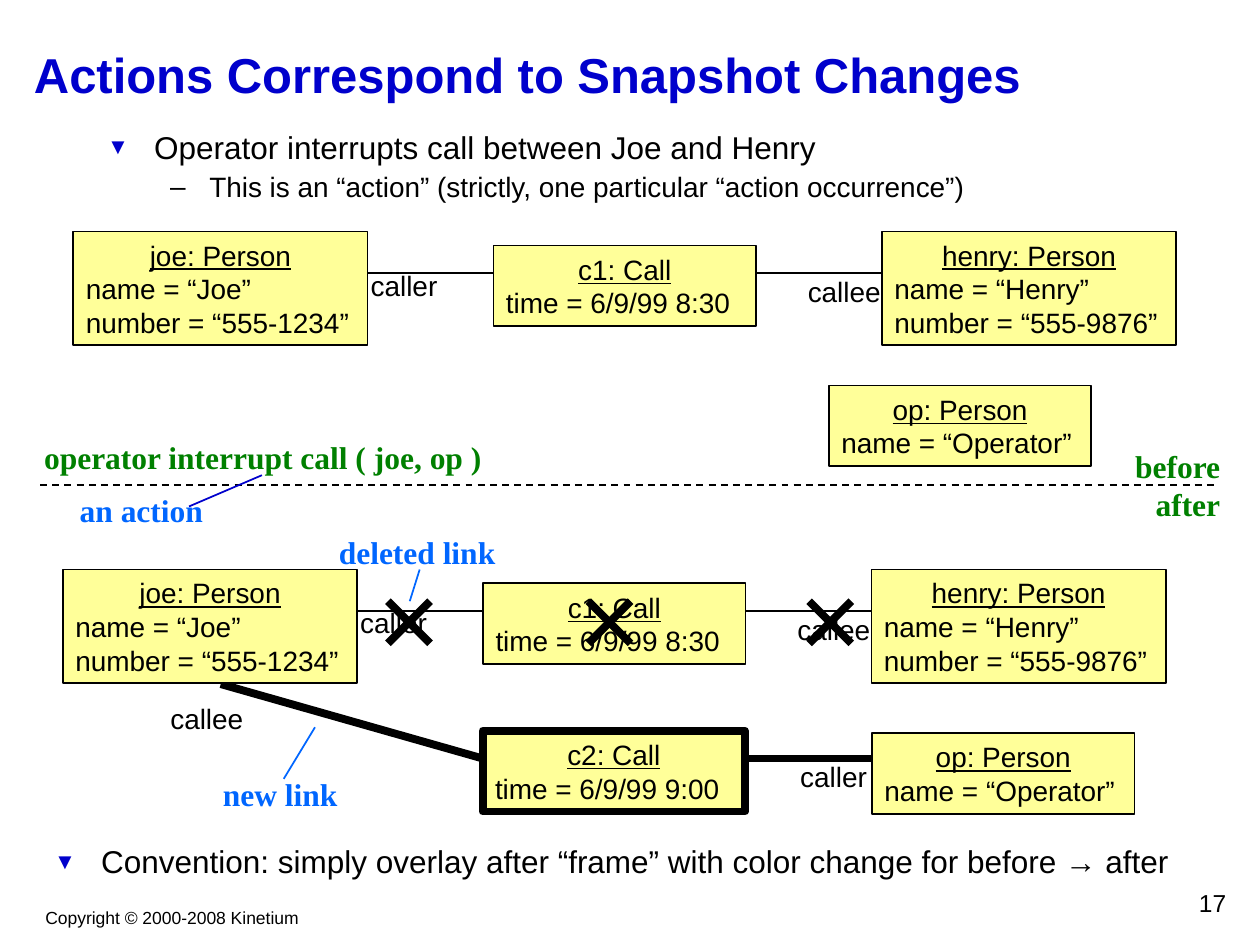
"""Build the slide that shows an action as a change between two snapshots."""
from dataclasses import dataclass

from lxml import etree
from pptx import Presentation
from pptx.dml.color import RGBColor
from pptx.enum.dml import MSO_LINE
from pptx.enum.shapes import MSO_CONNECTOR, MSO_SHAPE
from pptx.enum.text import MSO_ANCHOR, MSO_AUTO_SIZE, PP_ALIGN
from pptx.oxml.ns import qn
from pptx.slide import Slide
from pptx.text.text import TextFrame, _Paragraph
from pptx.util import Cm, Pt

LEFT, CENTER, RIGHT = PP_ALIGN.LEFT, PP_ALIGN.CENTER, PP_ALIGN.RIGHT
TOP, MIDDLE = MSO_ANCHOR.TOP, MSO_ANCHOR.MIDDLE
RECTANGLE, STRAIGHT, DASH = MSO_SHAPE.RECTANGLE, MSO_CONNECTOR.STRAIGHT, MSO_LINE.DASH
NO_AUTOFIT = MSO_AUTO_SIZE.NONE

BLACK, NAVY, BLUE, GREEN, YELLOW = "000000", "0000CC", "0066FF", "008000", "FFFF99"
SANS, SERIF = "Arial", "Times New Roman"
THIN, THICK = 1, 4.5
PERSON_WIDTH, CALL_WIDTH = 5.93, 5.29
PERSON_HEIGHT, CALL_HEIGHT = 2.29, 1.63
CROSS_SIZE = 0.85


@dataclass(frozen=True)
class Style:
    size: float
    font: str = SANS
    color: str = BLACK
    bold: bool = False


TITLE = Style(28, color=NAVY, bold=True)
MAIN, DETAIL = Style(18), Style(16)
FOOTER, NUMBER = Style(10), Style(14)
ACTION, REMARK = Style(18, SERIF, GREEN, True), Style(18, SERIF, BLUE, True)


@dataclass(frozen=True)
class Label:
    left: float
    top: float
    width: float
    height: float
    lines: tuple[str, ...]
    style: Style = DETAIL
    align: PP_ALIGN = CENTER
    anchor: MSO_ANCHOR = TOP


@dataclass(frozen=True)
class ObjectBox:
    left: float
    top: float
    width: float
    height: float
    name: str
    attributes: tuple[str, ...]
    weight: float = THIN


@dataclass(frozen=True)
class Link:
    start: tuple[float, float]
    end: tuple[float, float]
    color: str = BLACK
    weight: float = THIN
    dashed: bool = False


@dataclass(frozen=True)
class Bullet:
    text: str
    level: int = 0


def rgb(color: str) -> RGBColor:
    return RGBColor.from_string(color)


def add_text(paragraph: _Paragraph, text: str, style: Style, underline: bool = False) -> None:
    run = paragraph.add_run()
    run.text = text
    run.font.name = style.font
    run.font.size = Pt(style.size)
    run.font.bold = style.bold
    run.font.underline = underline
    run.font.color.rgb = rgb(style.color)


def next_paragraph(frame: TextFrame, index: int) -> _Paragraph:
    return frame.add_paragraph() if index else frame.paragraphs[0]


def draw_label(slide: Slide, label: Label) -> None:
    box = slide.shapes.add_textbox(
        Cm(label.left), Cm(label.top), Cm(label.width), Cm(label.height))
    box.text_frame.vertical_anchor = label.anchor
    for index, line in enumerate(label.lines):
        paragraph = next_paragraph(box.text_frame, index)
        paragraph.alignment = label.align
        add_text(paragraph, line, label.style)


def draw_object(slide: Slide, item: ObjectBox) -> None:
    shape = slide.shapes.add_shape(
        RECTANGLE, Cm(item.left), Cm(item.top), Cm(item.width), Cm(item.height))
    shape.shadow.inherit = False
    shape.fill.solid()
    shape.fill.fore_color.rgb = rgb(YELLOW)
    shape.line.color.rgb = rgb(BLACK)
    shape.line.width = Pt(item.weight)
    frame = shape.text_frame
    frame.word_wrap = True
    frame.vertical_anchor = MIDDLE
    for index, line in enumerate((item.name, *item.attributes)):
        paragraph = next_paragraph(frame, index)
        paragraph.alignment = LEFT if index else CENTER
        add_text(paragraph, line, DETAIL, underline=index == 0)


def draw_link(slide: Slide, link: Link) -> None:
    connector = slide.shapes.add_connector(STRAIGHT, *map(Cm, link.start + link.end))
    connector.line.color.rgb = rgb(link.color)
    connector.line.width = Pt(link.weight)
    if link.dashed:
        connector.line.dash_style = DASH
    etree.SubElement(connector._element.spPr, qn("a:effectLst"))


def draw_cross(slide: Slide, left: float, top: float) -> None:
    right, bottom = left + CROSS_SIZE, top + CROSS_SIZE
    draw_link(slide, Link((right, top), (left, bottom), weight=THICK))
    draw_link(slide, Link((left, top), (right, bottom), weight=THICK))


def draw_snapshot(slide: Slide, left: float, top: float) -> None:
    call_left, henry_left, link_top = left + 8.47, left + 16.3, top + 0.83
    people = ((left, "joe: Person", "name = “Joe”", "number = “555-1234”"),
              (henry_left, "henry: Person", "name = “Henry”", "number = “555-9876”"))
    for person_left, name, *attributes in people:
        draw_object(slide, ObjectBox(
            person_left, top, PERSON_WIDTH, PERSON_HEIGHT, name, tuple(attributes)))
    draw_object(slide, ObjectBox(call_left, top + 0.28, CALL_WIDTH, CALL_HEIGHT,
                                 "c1: Call", ("time = 6/9/99 8:30",)))
    draw_label(slide, Label(left + 5.74, top + 0.61, 1.85, 0.94, ("caller",)))
    draw_label(slide, Label(left + 14.55, top + 0.74, 1.98, 0.94, ("callee",)))
    draw_link(slide, Link((left + PERSON_WIDTH, link_top), (call_left, link_top)))
    draw_link(slide, Link((henry_left, link_top), (call_left + CALL_WIDTH, link_top)))


def draw_bullets(slide: Slide, left: float, top: float, width: float,
                 bullets: tuple[Bullet, ...]) -> None:
    box = slide.shapes.add_textbox(Cm(left), Cm(top), Cm(width), Cm(1.7))
    box.text_frame.word_wrap = True
    for index, bullet in enumerate(bullets):
        paragraph = next_paragraph(box.text_frame, index)
        paragraph.level = bullet.level
        properties = paragraph._p.get_or_add_pPr()
        margin, indent = (2.06, -0.79) if bullet.level else (0.95, -0.95)
        properties.set("marL", str(Cm(margin)))
        properties.set("indent", str(Cm(indent)))
        color = etree.SubElement(properties, qn("a:buClr"))
        etree.SubElement(color, qn("a:srgbClr"), val=BLACK if bullet.level else NAVY)
        if not bullet.level:
            etree.SubElement(properties, qn("a:buSzPct"), val="70000")
        etree.SubElement(properties, qn("a:buFont"), typeface=SANS)
        etree.SubElement(properties, qn("a:buChar"), char="–" if bullet.level else "▼")
        paragraph.line_spacing = 0.9
        if index:
            paragraph.space_before = Pt(4)
        add_text(paragraph, bullet.text, DETAIL if bullet.level else MAIN)


def draw_title(slide: Slide, text: str) -> None:
    title = slide.shapes.title
    title.left, title.top, title.width, title.height = map(Cm, (0.43, 0.43, 24.56, 2.11))
    title.text_frame.auto_size = NO_AUTOFIT
    title.text_frame.vertical_anchor = MIDDLE
    paragraph = title.text_frame.paragraphs[0]
    paragraph.alignment = LEFT
    add_text(paragraph, text, TITLE)


LABELS = (
    Label(0.66, 18.16, 5.61, 0.69, ("Copyright © 2000-2008 Kinetium",), FOOTER),
    Label(19.69, 17.78, 5.28, 0.84, ("17",), NUMBER, RIGHT),
    Label(22.61, 8.89, 2.24, 1.78, ("before", "after"), ACTION, RIGHT, MIDDLE),
    Label(0.64, 8.71, 9.35, 1.02, ("operator interrupt call ( joe, op )",), ACTION, LEFT, MIDDLE),
    Label(1.35, 9.78, 3, 1.02, ("an action",), REMARK),
    Label(6.58, 10.62, 3.66, 1.02, ("deleted link",), REMARK),
    Label(4.24, 15.49, 2.82, 1.02, ("new link",), REMARK),
    Label(15.88, 15.19, 1.85, 0.94, ("caller",)),
    Label(3.18, 14.02, 1.98, 0.94, ("callee",)),
)
LINKS = (
    Link((0.81, 9.78), (24.51, 9.78), dashed=True),
    Link((3.81, 10.21), (5.28, 9.58), NAVY),
    Link((8.46, 11.48), (8.26, 12.12), BLUE),
    Link((6.35, 14.66), (5.72, 15.7), BLUE),
    Link((4.45, 13.79), (9.73, 15.29), weight=THICK),
    Link((15.03, 15.29), (17.58, 15.29), weight=THICK),
)
OPERATOR = ("op: Person", ("name = “Operator”",))
OBJECTS = (
    ObjectBox(16.71, 7.77, CALL_WIDTH, CALL_HEIGHT, *OPERATOR),
    ObjectBox(17.58, 14.78, CALL_WIDTH, CALL_HEIGHT, *OPERATOR),
    ObjectBox(9.73, 14.73, CALL_WIDTH, CALL_HEIGHT, "c2: Call", ("time = 6/9/99 9:00",), THICK),
)


def main() -> None:
    presentation = Presentation()
    presentation.slide_width, presentation.slide_height = Cm(25.4), Cm(19.05)
    slide = presentation.slides.add_slide(presentation.slide_layouts[5])
    draw_title(slide, "Actions Correspond to Snapshot Changes")
    draw_bullets(slide, 1.91, 2.54, 22.23, (
        Bullet("Operator interrupts call between Joe and Henry"),
        Bullet("This is an “action” (strictly, one particular “action occurrence”)", 1)))
    draw_bullets(slide, 0.84, 16.94, 23.29, (
        Bullet("Convention: simply overlay after “frame” with color change for before → after"),))
    for link in LINKS:
        draw_link(slide, link)
    for left, top in ((1.48, 4.67), (1.27, 11.48)):
        draw_snapshot(slide, left, top)
    for item in OBJECTS:
        draw_object(slide, item)
    for label in LABELS:
        draw_label(slide, label)
    for left in (7.82, 11.86, 16.31):
        draw_cross(slide, left, 12.12)
    presentation.save("out.pptx")


if __name__ == "__main__":
    main()
